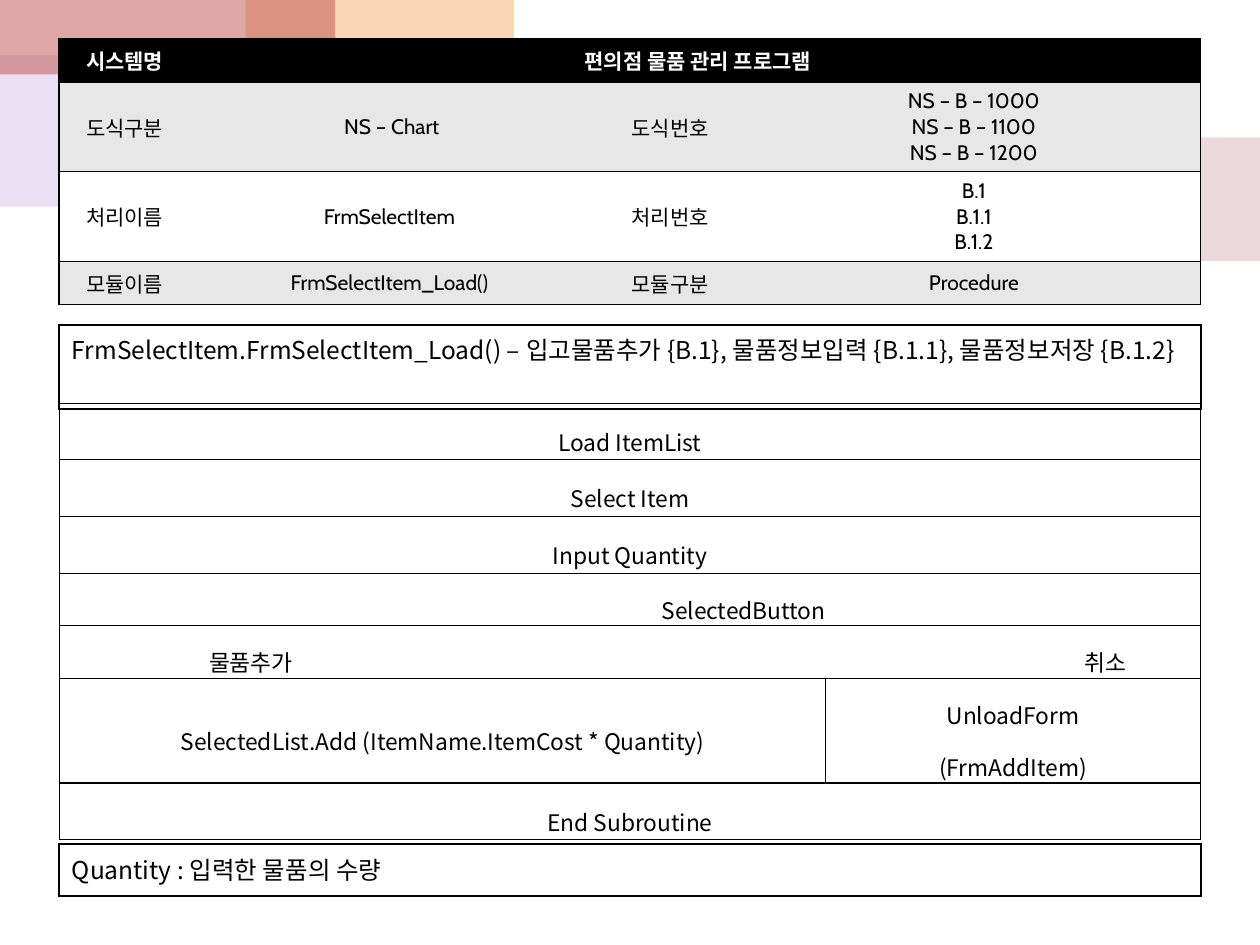
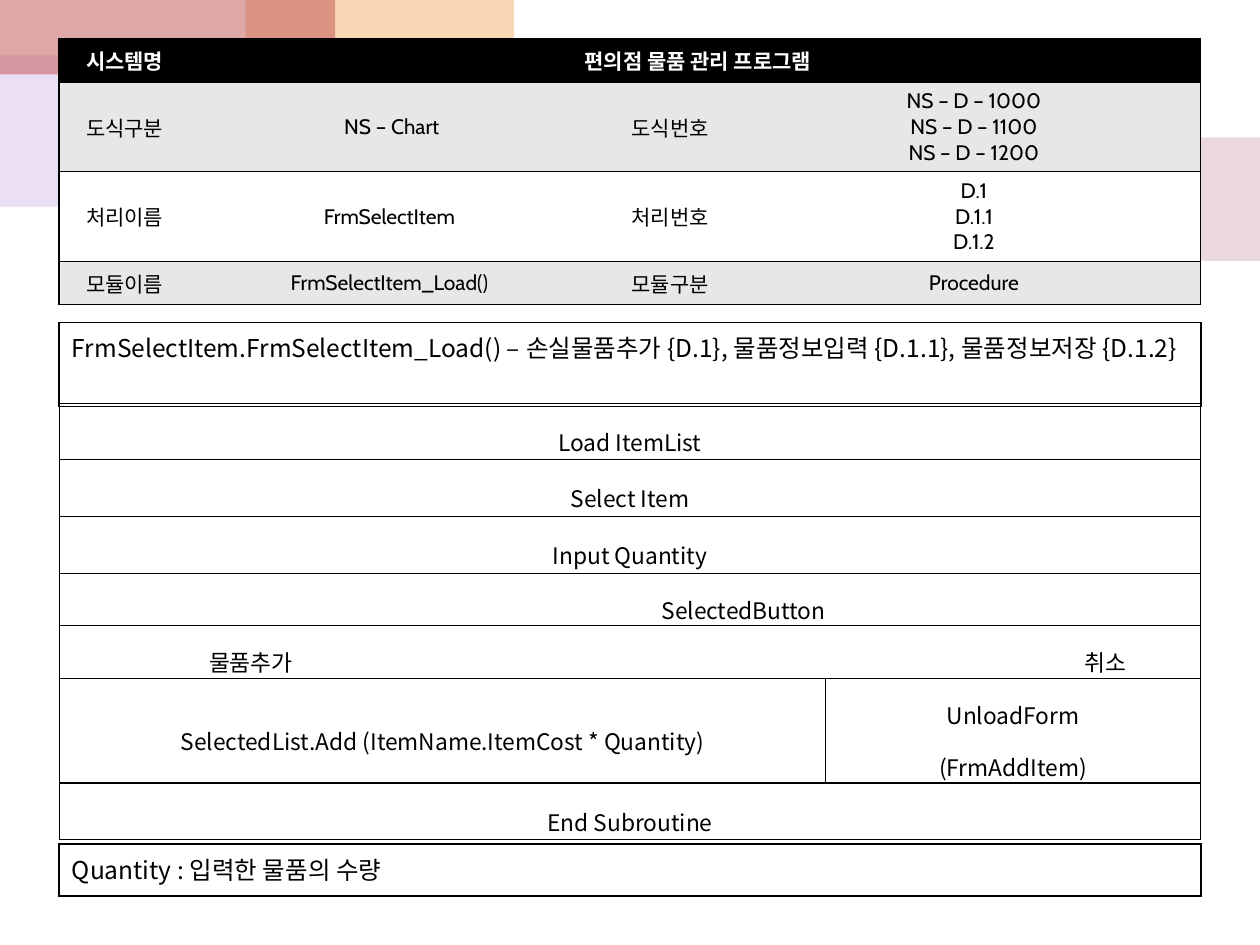
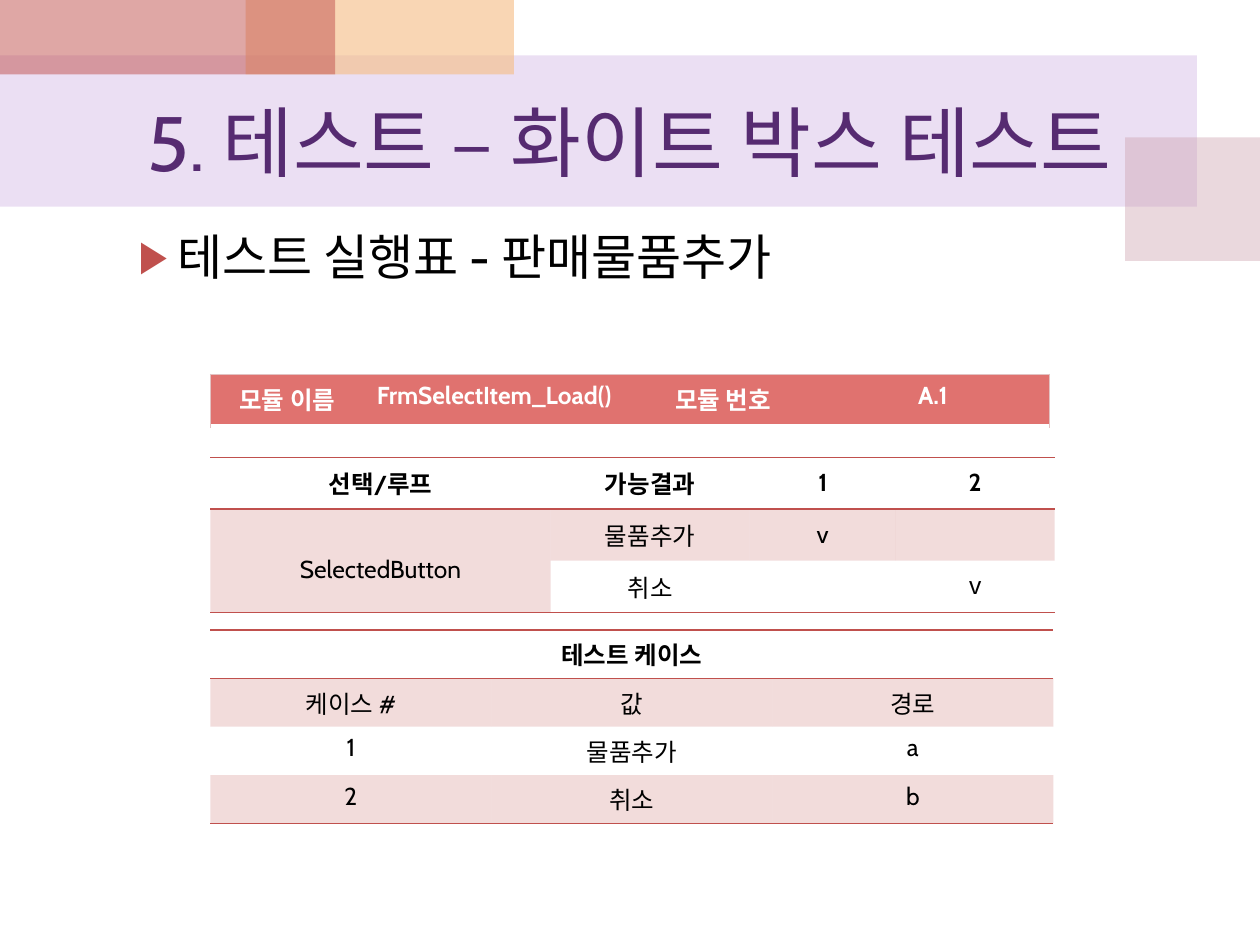
"""Build three test-document slides: two NS chart pages and one white box test page."""
from dataclasses import dataclass
from itertools import cycle
from typing import Optional

import pptx
import pptx.dml.color
import pptx.enum.shapes
import pptx.enum.text
import pptx.oxml
import pptx.oxml.ns
import pptx.util
from pptx.util import Inches

LATIN = "Cabin"
KOREAN = "Noto Sans CJK KR"
BLACK, WHITE, GREY = "000000", "FFFFFF", "E7E7E7"
RED, CORAL, ROSE, PURPLE = "C0504D", "E0726F", "E2C2C2", "562B71"
NO_STYLE = "{2D5ABB26-0587-4C30-8999-92F81FD0307C}"
CENTER = pptx.enum.text.PP_ALIGN.CENTER
LEFT = pptx.enum.text.PP_ALIGN.LEFT
RIGHT = pptx.enum.text.PP_ALIGN.RIGHT
MIDDLE = pptx.enum.text.MSO_ANCHOR.MIDDLE
TOP = pptx.enum.text.MSO_ANCHOR.TOP


@dataclass(frozen=True)
class Band:
    left: float
    top: float
    width: float
    height: float
    color: str
    opacity: int


@dataclass(frozen=True)
class Cell:
    text: str = ""
    sides: str = ""
    fill: Optional[str] = None
    opacity: int = 100
    color: str = BLACK
    bold: bool = False
    align: pptx.enum.text.PP_ALIGN = CENTER
    columns: int = 1
    rows: int = 1
    spacing: float = 1.0
    font: Optional[str] = None


@dataclass(frozen=True)
class TableStyle:
    size: int
    font: str
    line_color: str
    line_width: float
    anchor: pptx.enum.text.MSO_ANCHOR = MIDDLE
    padded: bool = True
    bottom: Optional[tuple[str, float]] = None


@dataclass(frozen=True)
class ChartPage:
    letter: str
    action: str
    heading_top: float


BANDS = [
    Band(0, 0.44, 9.5, 1.2, "BF98D8", 30),
    Band(8.93, 1.09, 1.07, 0.98, "CC9EAC", 40),
    Band(1.95, 0, 2.13, 0.59, "F5BC83", 60),
    Band(0, 0, 2.66, 0.59, RED, 50),
]
CHART_PAGES = [ChartPage("B", "입고물품추가", 2.58), ChartPage("D", "손실물품추가", 2.56)]

SUMMARY_STYLE = TableStyle(12, LATIN, BLACK, 1)
NOTE_STYLE = TableStyle(14, KOREAN, BLACK, 1, anchor=TOP)
CHART_STYLE = TableStyle(13, KOREAN, BLACK, 0.75, padded=False)
MODULE_STYLE = TableStyle(14, LATIN, ROSE, 0.75, anchor=TOP, bottom=(WHITE, 2.5))
CASE_STYLE = TableStyle(14, LATIN, RED, 1, anchor=TOP)
CHOICE_STYLE = TableStyle(14, LATIN, RED, 1)


def paint(fill, color: str, opacity: int = 100) -> None:
    """Give a fill a solid colour with an opacity in percent."""
    fill.solid()
    fill.fore_color.rgb = pptx.dml.color.RGBColor.from_string(color)
    if opacity < 100:
        color_element = fill.fore_color._xFill[0]
        alpha = color_element.makeelement(pptx.oxml.ns.qn("a:alpha"), {"val": str(opacity * 1000)})
        color_element.append(alpha)


def add_run(paragraph, text: str, size: int, font: str, color: str, bold: bool = False) -> None:
    """Add one formatted run to a paragraph."""
    run = paragraph.add_run()
    run.text = text
    run.font.size = pptx.util.Pt(size)
    run.font.name = font
    run.font.bold = bold
    paint(run.font.fill, color)
    properties = run.font._element
    latin = properties.find(pptx.oxml.ns.qn("a:latin"))
    latin.addnext(properties.makeelement(pptx.oxml.ns.qn("a:ea"), {"typeface": KOREAN}))


def add_border(cell, side: str, color: str, width: float) -> None:
    """Draw one edge of a table cell."""
    cell._tc.get_or_add_tcPr().append(pptx.oxml.parse_xml(
        f'<a:ln{side} {pptx.oxml.ns.nsdecls("a")} w="{int(pptx.util.Pt(width))}">'
        f'<a:solidFill><a:srgbClr val="{color}"/></a:solidFill></a:ln{side}>'))


def format_cell(cell, content: Cell, style: TableStyle) -> None:
    """Set the edges, fill and margins of a table cell."""
    for side in "LRTB":
        if side in content.sides:
            line = (style.line_color, style.line_width)
            add_border(cell, side, *(style.bottom if side == "B" and style.bottom else line))
    if content.fill:
        paint(cell.fill, content.fill, content.opacity)
    else:
        cell.fill.background()
    cell.vertical_anchor = style.anchor
    if not style.padded or not content.text:
        cell.margin_left = cell.margin_right = cell.margin_top = cell.margin_bottom = 0


def write_cell(cell, content: Cell, style: TableStyle) -> None:
    """Write each line of a cell as a paragraph."""
    for index, line in enumerate(content.text.splitlines()):
        paragraph = cell.text_frame.add_paragraph() if index else cell.text_frame.paragraphs[0]
        paragraph.alignment = content.align
        paragraph.line_spacing = content.spacing
        add_run(paragraph, line, style.size, content.font or style.font, content.color, content.bold)


def add_table(slide, style: TableStyle, left: float, top: float, widths: list[float],
              heights: list[float], grid: list[list[Optional[Cell]]]) -> None:
    """Add a table; None in the grid marks a cell covered by a span."""
    frame = slide.shapes.add_table(len(heights), len(widths), Inches(left), Inches(top),
                                   Inches(sum(widths)), Inches(sum(heights)))
    table = frame.table
    table.first_row = table.horz_banding = False
    table._tbl.tblPr.find(pptx.oxml.ns.qn("a:tableStyleId")).text = NO_STYLE
    for column, width in zip(table.columns, widths):
        column.width = Inches(width)
    for row, height in zip(table.rows, heights):
        row.height = Inches(height)
    for row_index, contents in enumerate(grid):
        for column_index, content in enumerate(contents):
            if content is None:
                continue
            last_row = row_index + content.rows - 1
            last_column = column_index + content.columns - 1
            origin = table.cell(row_index, column_index)
            if content.rows * content.columns > 1:
                origin.merge(table.cell(last_row, last_column))
            for covered_row in range(row_index, last_row + 1):
                for covered_column in range(column_index, last_column + 1):
                    format_cell(table.cell(covered_row, covered_column), content, style)
            write_cell(origin, content, style)


def add_bands(slide, master) -> None:
    """Place the coloured bands on the slide master, behind everything."""
    for index, band in enumerate(BANDS):
        shape = slide.shapes.add_shape(
            pptx.enum.shapes.MSO_SHAPE.RECTANGLE, Inches(band.left), Inches(band.top),
            Inches(band.width), Inches(band.height))
        shape.shadow.inherit = False
        paint(shape.fill, band.color, band.opacity)
        shape.line.fill.background()
        shape.element.nvSpPr.cNvPr.set("id", str(100 + index))
        master.shapes._spTree.insert(2 + index, shape.element)


def add_summary(slide, page: ChartPage) -> None:
    """Add the table that identifies the module."""
    numbers = "\n".join(f"NS – {page.letter} – {number}" for number in (1000, 1100, 1200))
    processes = "\n".join(f"{page.letter}.{number}" for number in ("1", "1.1", "1.2"))
    rows = [
        ("도식구분", "NS – Chart", "도식번호", numbers),
        ("처리이름", "FrmSelectItem ", "처리번호", processes),
        ("모듈이름", "FrmSelectItem_Load() ", "모듈구분", "Procedure"),
    ]
    grid = [[Cell("시스템명", "LTB", BLACK, color=WHITE, bold=True),
             Cell(" 편의점 물품 관리 프로그램", "RTB", BLACK, color=WHITE, bold=True, columns=3),
             None, None]]
    for texts, fill in zip(rows, cycle([GREY, WHITE])):
        grid.append([Cell(text, sides, fill) for text, sides in zip(texts, ("LTB", "TB", "TB", "RTB"))])
    add_table(slide, SUMMARY_STYLE, 0.47, 0.31, [1.04, 3.2, 1.22, 3.6], [0.22] * 4, grid)


def add_note(slide, top: float, text: str) -> None:
    """Add a framed line of text across the page."""
    add_table(slide, NOTE_STYLE, 0.47, top, [9.06], [0.41], [[Cell(text, "LRTB", align=LEFT)]])


def add_chart_page(slide, page: ChartPage) -> None:
    """Fill a slide with the NS chart of one process."""
    def step(text: str, columns: int = 4) -> list[Optional[Cell]]:
        """Return a framed step and the cells it covers."""
        return [Cell(text, "LRTB", columns=columns, spacing=1.6)] + [None] * (columns - 1)

    add_summary(slide, page)
    add_note(slide, 6.7, "Quantity : 입력한 물품의 수량")
    add_note(slide, page.heading_top,
             f"FrmSelectItem.FrmSelectItem_Load() – {page.action} {{{page.letter}.1}}, "
             f"물품정보입력 {{{page.letter}.1.1}}, 물품정보저장 {{{page.letter}.1.2}}")
    grid = [
        step("Load ItemList"),
        step("Select Item"),
        step("Input Quantity"),
        [Cell(sides="LT"), Cell("SelectedButton", "T", align=RIGHT, spacing=1.6),
         Cell(sides="T"), Cell(sides="RT")],
        [Cell("물품추가", "LB", spacing=1.6), Cell(sides="B"), Cell(sides="B"),
         Cell("취소", "RB", spacing=1.6)],
        step("SelectedList.Add (ItemName.ItemCost * Quantity)", 2) + step("UnloadForm\n(FrmAddItem)", 2),
        step("End Subroutine"),
    ]
    add_table(slide, CHART_STYLE, 0.47, 3.2, [3.04, 3.04, 1.47, 1.51],
              [0.45, 0.45, 0.45, 0.35, 0.35, 0.75, 0.45], grid)


def place(shape, left: float, top: float, width: float, height: float) -> None:
    """Move and size a placeholder."""
    shape.left, shape.top = Inches(left), Inches(top)
    shape.width, shape.height = Inches(width), Inches(height)
    shape.text_frame.auto_size = pptx.enum.text.MSO_AUTO_SIZE.NONE


def add_heading(slide) -> None:
    """Fill the title and body placeholders of the test page."""
    title, body = slide.shapes.title, slide.placeholders[1]
    place(title, 0.5, 0.59, 9, 1.05)
    title.text_frame.vertical_anchor = MIDDLE
    paragraph = title.text_frame.paragraphs[0]
    paragraph.alignment = CENTER
    add_run(paragraph, "5. 테스트 – 화이트 박스 테스트", 44, LATIN, PURPLE)

    place(body, 0.5, 1.75, 9, 4.95)
    paragraph = body.text_frame.paragraphs[0]
    paragraph.level = 1
    paragraph.space_before = pptx.util.Pt(6)
    add_run(paragraph, "테스트 실행표 - 판매물품추가", 28, LATIN, BLACK)
    properties = paragraph._p.get_or_add_pPr()
    properties.set("marL", str(int(Inches(0.81))))
    properties.set("indent", str(int(Inches(-0.31))))
    namespace = pptx.oxml.ns.nsdecls("a")
    for bullet in (f'<a:buClr {namespace}><a:srgbClr val="{RED}"/></a:buClr>',
                   f'<a:buSzPct {namespace} val="90000"/>',
                   f'<a:buFont {namespace} typeface="Arial"/>',
                   f'<a:buChar {namespace} char="▶"/>'):
        properties.append(pptx.oxml.parse_xml(bullet))


def add_test_page(slide) -> None:
    """Fill a slide with the white box test tables."""
    add_heading(slide)
    module = ("모듈 이름", "FrmSelectItem_Load() ", "모듈 번호", "A.1")
    add_table(slide, MODULE_STYLE, 1.67, 2.97, [1.22, 2.11, 1.48, 1.85], [0.41], [[
        Cell(text, sides, CORAL, color=WHITE, bold=True)
        for text, sides in zip(module, ("LTB", "TB", "TB", "RTB"))]])

    cases = [("케이스 #", "값", "경로"), ("1", "물품추가", "a"), ("2", "취소", "b")]
    grid = [[Cell("테스트 케이스", "TB", bold=True, columns=3), None, None]]
    for texts, fill, sides in zip(cases, (RED, None, RED), ("", "", "B")):
        grid.append([Cell(text, sides, fill, 20) for text in texts])
    add_table(slide, CASE_STYLE, 1.67, 5, [2.23] * 3, [0.36] * 4, grid)

    grid = [
        [Cell(text, "TB", bold=True) for text in ("선택/루프", "가능결과", "1", "2")],
        [Cell("SelectedButton", "B", RED, 20, rows=2, spacing=1.6)]
        + [Cell(text, "", RED, 20) for text in ("물품추가", "v", "")],
        [None, Cell("취소", "B"), Cell(sides="B"), Cell("v", "B", font="Arial")],
    ]
    add_table(slide, CHOICE_STYLE, 1.67, 3.63, [2.7, 1.58, 1.16, 1.26], [0.41] * 3, grid)


def main() -> None:
    """Build and save the presentation."""
    presentation = pptx.Presentation()
    presentation.slide_width, presentation.slide_height = Inches(10), Inches(7.5)
    blank, content = presentation.slide_layouts[6], presentation.slide_layouts[1]
    for page in CHART_PAGES:
        add_chart_page(presentation.slides.add_slide(blank), page)
    test_slide = presentation.slides.add_slide(content)
    add_bands(test_slide, presentation.slide_master)
    add_test_page(test_slide)
    presentation.save("out.pptx")


if __name__ == "__main__":
    main()
